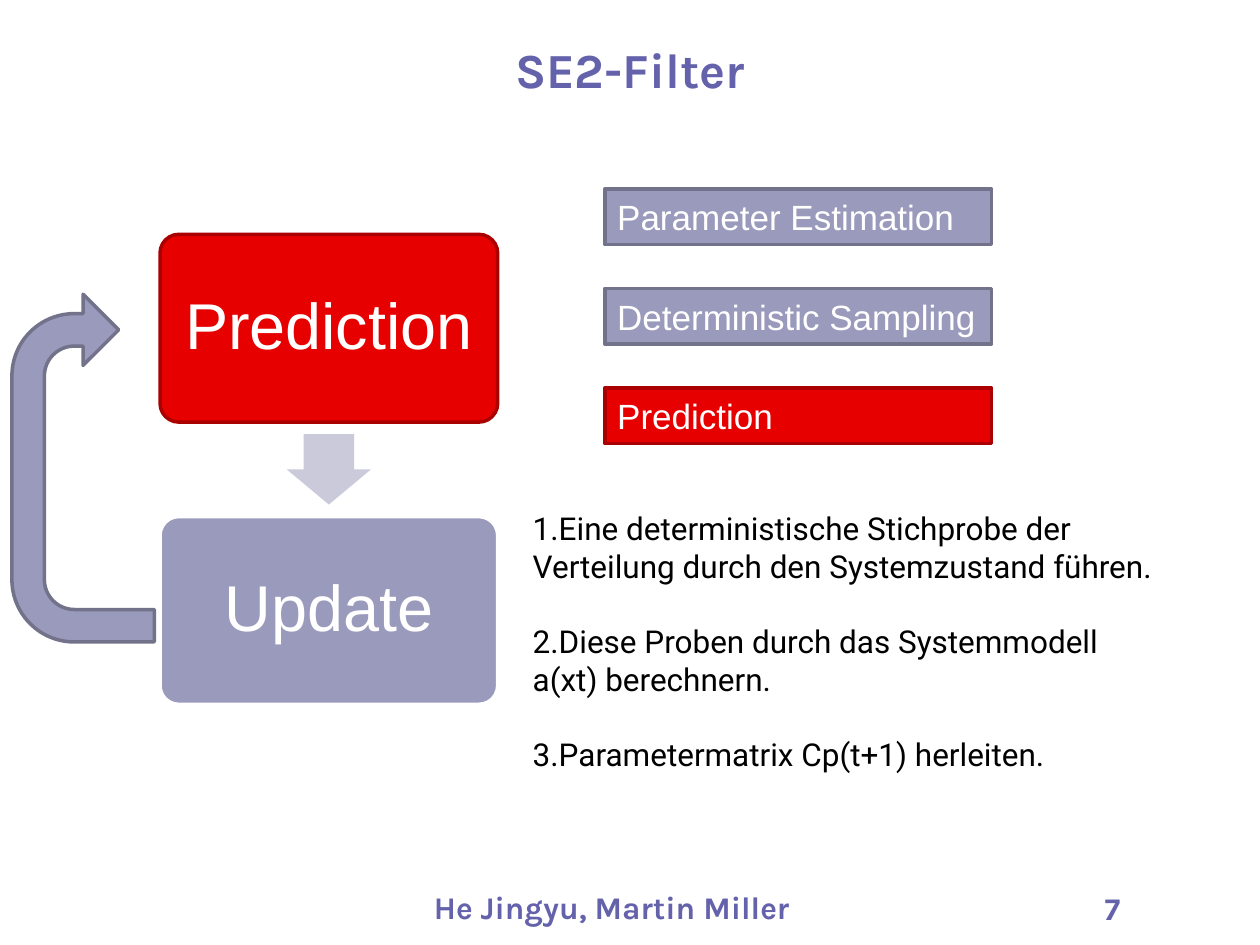
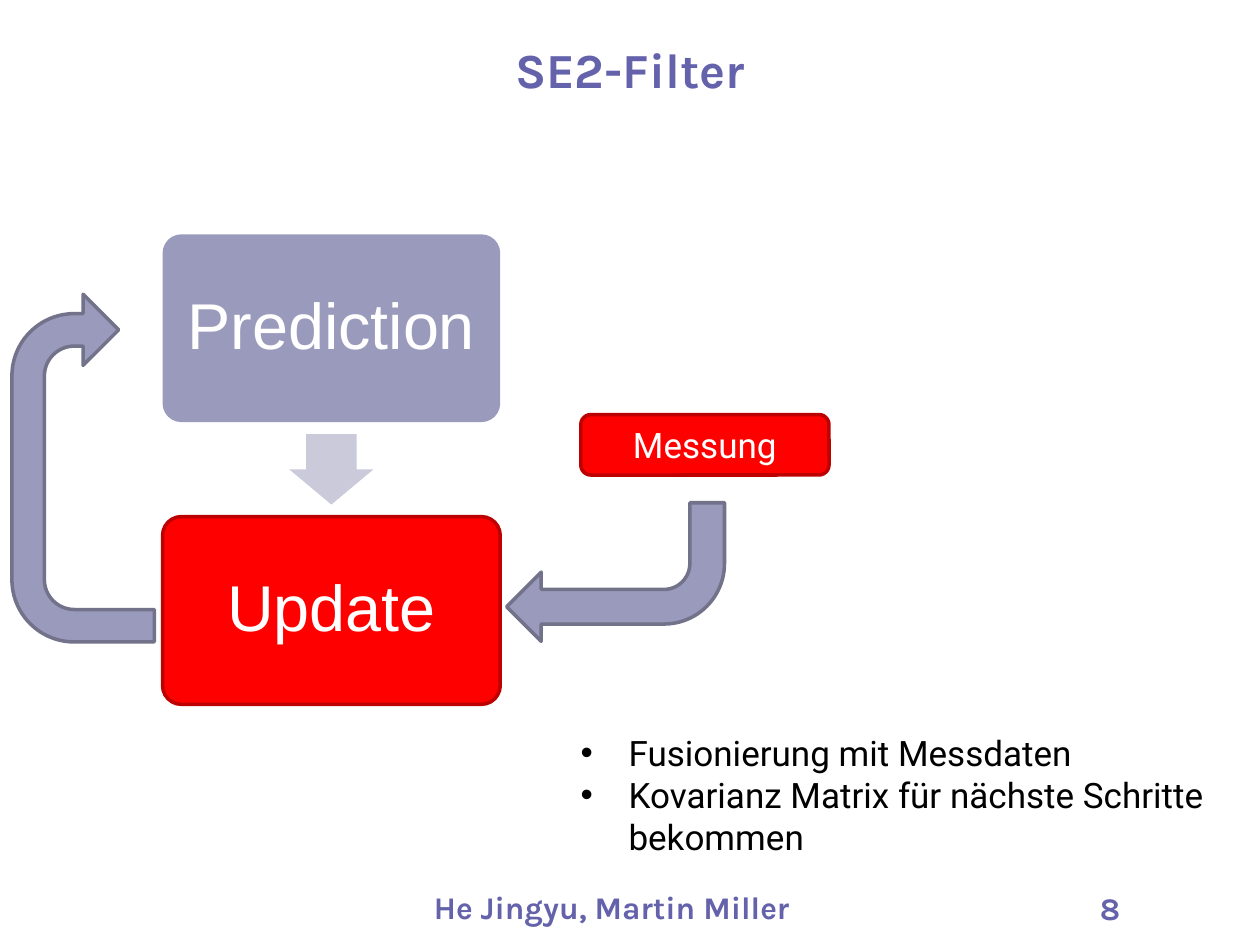
from dataclasses import dataclass

from lxml.etree import SubElement
from pptx import Presentation
from pptx.dml.color import RGBColor
from pptx.enum.shapes import MSO_SHAPE
from pptx.enum.text import MSO_ANCHOR, MSO_AUTO_SIZE, PP_ALIGN
from pptx.oxml.ns import qn
from pptx.util import Inches, Pt

SLIDE_WIDTH, SLIDE_HEIGHT = Inches(10), Inches(7.5)
COLUMNS, ROWS = 100, 75

VIOLET = RGBColor(0x65, 0x62, 0xAC)
LAVENDER = RGBColor(0x9A, 0x9A, 0xBC)
SLATE = RGBColor(0x72, 0x72, 0x8B)
PALE = RGBColor(0xCA, 0xCA, 0xDA)
RED = RGBColor(0xE7, 0x00, 0x00)
DARK_RED = RGBColor(0xAB, 0x00, 0x00)
BRIGHT_RED = RGBColor(0xFF, 0x00, 0x00)
DEEP_RED = RGBColor(0xBD, 0x00, 0x00)
WHITE = RGBColor(0xFF, 0xFF, 0xFF)
INK = RGBColor(0x01, 0x00, 0x00)

TITLE = "SE2-Filter"
AUTHORS = "He Jingyu, Martin Miller"
STEP_TOP, STEP_PITCH = 18.6, 22.4
STEP_WIDTH, STEP_HEIGHT = 26.8, 14.9
BADGE_TOP, BADGE_PITCH = 15, 7.9


@dataclass(frozen=True)
class Area:
    column: float
    row: float
    columns: float
    rows: float

    def place(self) -> tuple[int, int, int, int]:
        cell_width, cell_height = SLIDE_WIDTH / COLUMNS, SLIDE_HEIGHT / ROWS
        return (round(self.column * cell_width), round(self.row * cell_height),
                round(self.columns * cell_width), round(self.rows * cell_height))


@dataclass(frozen=True)
class Paint:
    fill: RGBColor
    outline: RGBColor | None = None


@dataclass(frozen=True)
class Labelled:
    label: str
    paint: Paint


CALM = Paint(LAVENDER, SLATE)
PLAIN = Paint(LAVENDER)
ACTIVE = Paint(RED, DARK_RED)
MEASURED = Paint(BRIGHT_RED, DEEP_RED)

TITLE_AREA = Area(0, 2.1, 100, 6.3)
AUTHORS_AREA = Area(15.1, 70, 66.9, 4)
NUMBER_AREA = Area(81.5, 70.1, 8.4, 5.2)
LOOP_AREA = Area(-7.2, 31.5, 27.6, 11.3)
LOOP_ADJUSTMENTS = (0.228, 0.25, 0.25, 0.438, 0.75)


def write(frame, *paragraphs: str, font: str = "Arial", size: float = 20,
          color: RGBColor = WHITE, bold: bool = False, align=PP_ALIGN.LEFT,
          anchor=MSO_ANCHOR.TOP, line: float = 1.0, after: float = 0,
          right_inset: float = 0.1, bullet_indent: float = 0) -> None:
    frame.word_wrap = True
    frame.auto_size = MSO_AUTO_SIZE.NONE
    frame.vertical_anchor = anchor
    frame.margin_right = Inches(right_inset)
    for index, text in enumerate(paragraphs):
        paragraph = frame.paragraphs[0] if index == 0 else frame.add_paragraph()
        paragraph.text = text
        paragraph.alignment = align
        paragraph.line_spacing = line
        paragraph.space_before, paragraph.space_after = Pt(0), Pt(after)
        for run in paragraph.runs:
            run.font.name, run.font.size = font, Pt(size)
            run.font.bold, run.font.color.rgb = bold, color
        if bullet_indent:
            properties = paragraph._p.get_or_add_pPr()
            properties.set("marL", str(Inches(bullet_indent)))
            properties.set("indent", str(-Inches(bullet_indent)))
            SubElement(properties, qn("a:buFont")).set("typeface", "Arial")
            SubElement(properties, qn("a:buChar")).set("char", "•")


def add_text(slide, area: Area, *paragraphs: str, **text_format) -> None:
    write(slide.shapes.add_textbox(*area.place()).text_frame,
          *paragraphs, **text_format)


def add_figure(slide, kind, area: Area, paint: Paint, rotation: float = 0,
               adjustments: tuple[float, ...] = ()):
    figure = slide.shapes.add_shape(kind, *area.place())
    figure.shadow.inherit = False
    figure.rotation = rotation
    for index, value in enumerate(adjustments):
        figure.adjustments[index] = value
    figure.fill.solid()
    figure.fill.fore_color.rgb = paint.fill
    if paint.outline is None:
        figure.line.fill.background()
    else:
        figure.line.color.rgb = paint.outline
        figure.line.width = Pt(2)
    return figure


def add_cycle(slide, column: float, steps: list[Labelled]) -> None:
    for index, step in enumerate(steps):
        area = Area(column, STEP_TOP + index * STEP_PITCH, STEP_WIDTH, STEP_HEIGHT)
        box = add_figure(slide, MSO_SHAPE.ROUNDED_RECTANGLE, area, step.paint,
                         adjustments=(0.1,))
        write(box.text_frame, step.label, size=37, align=PP_ALIGN.CENTER,
              anchor=MSO_ANCHOR.MIDDLE, line=0.9)
    add_figure(slide, MSO_SHAPE.RIGHT_ARROW, Area(column + 10.6, 33.9, 5.6, 6.7),
               Paint(PALE), rotation=90, adjustments=(0.6, 0.5))
    add_figure(slide, MSO_SHAPE.U_TURN_ARROW, LOOP_AREA, CALM, rotation=270,
               adjustments=LOOP_ADJUSTMENTS)


def add_badges(slide, badges: list[Labelled]) -> None:
    for index, badge in enumerate(badges):
        area = Area(48, BADGE_TOP + index * BADGE_PITCH, 30.7, 4.4)
        box = add_figure(slide, MSO_SHAPE.RECTANGLE, area, badge.paint)
        write(box.text_frame, badge.label, anchor=MSO_ANCHOR.MIDDLE, right_inset=0)


def add_framed_slide(presentation, number: int):
    slide = presentation.slides.add_slide(presentation.slide_layouts[5])
    heading = slide.shapes.title
    heading.left, heading.top, heading.width, heading.height = TITLE_AREA.place()
    brand = dict(font="Karla", color=VIOLET, bold=True)
    write(heading.text_frame, TITLE, size=28, align=PP_ALIGN.CENTER,
          anchor=MSO_ANCHOR.MIDDLE, line=1.1, **brand)
    add_text(slide, AUTHORS_AREA, AUTHORS, size=18, align=PP_ALIGN.CENTER, **brand)
    add_text(slide, NUMBER_AREA, str(number), size=18, align=PP_ALIGN.RIGHT, **brand)
    return slide


def build_prediction(presentation) -> None:
    slide = add_framed_slide(presentation, 7)
    add_cycle(slide, 12.7, [Labelled("Prediction", ACTIVE),
                            Labelled("Update", Paint(LAVENDER, WHITE))])
    add_badges(slide, [Labelled("Parameter Estimation", CALM),
                       Labelled("Deterministic Sampling", CALM),
                       Labelled("Prediction", ACTIVE)])
    add_text(slide, Area(41.3, 39.9, 52, 22.2),
             "1.Eine deterministische Stichprobe der Verteilung durch den "
             "Systemzustand führen.",
             "2.Diese Proben durch das Systemmodell\va(xt) berechnern.",
             "3.Parametermatrix Cp(t+1) herleiten.",
             font="Roboto", size=18, color=INK, after=21.5)


def build_update(presentation) -> None:
    slide = add_framed_slide(presentation, 8)
    add_text(slide, Area(45.1, 57.6, 53.5, 11.1),
             "Fusionierung mit Messdaten",
             "Kovarianz Matrix für nächste Schritte bekommen",
             font="Roboto", color=INK, bullet_indent=0.38)
    measurement = add_figure(slide, MSO_SHAPE.ROUNDED_RECTANGLE,
                             Area(46.1, 32.9, 19.7, 4.8), MEASURED)
    write(measurement.text_frame, "Messung", font="Roboto",
          align=PP_ALIGN.CENTER, anchor=MSO_ANCHOR.MIDDLE)
    add_figure(slide, MSO_SHAPE.BENT_ARROW, Area(40.2, 39.9, 17.3, 11), CALM,
               rotation=180)
    add_cycle(slide, 12.9, [Labelled("Prediction", PLAIN),
                            Labelled("Update", MEASURED)])


def main() -> None:
    presentation = Presentation()
    presentation.slide_width, presentation.slide_height = SLIDE_WIDTH, SLIDE_HEIGHT
    build_prediction(presentation)
    build_update(presentation)
    presentation.save("out.pptx")


if __name__ == "__main__":
    main()
